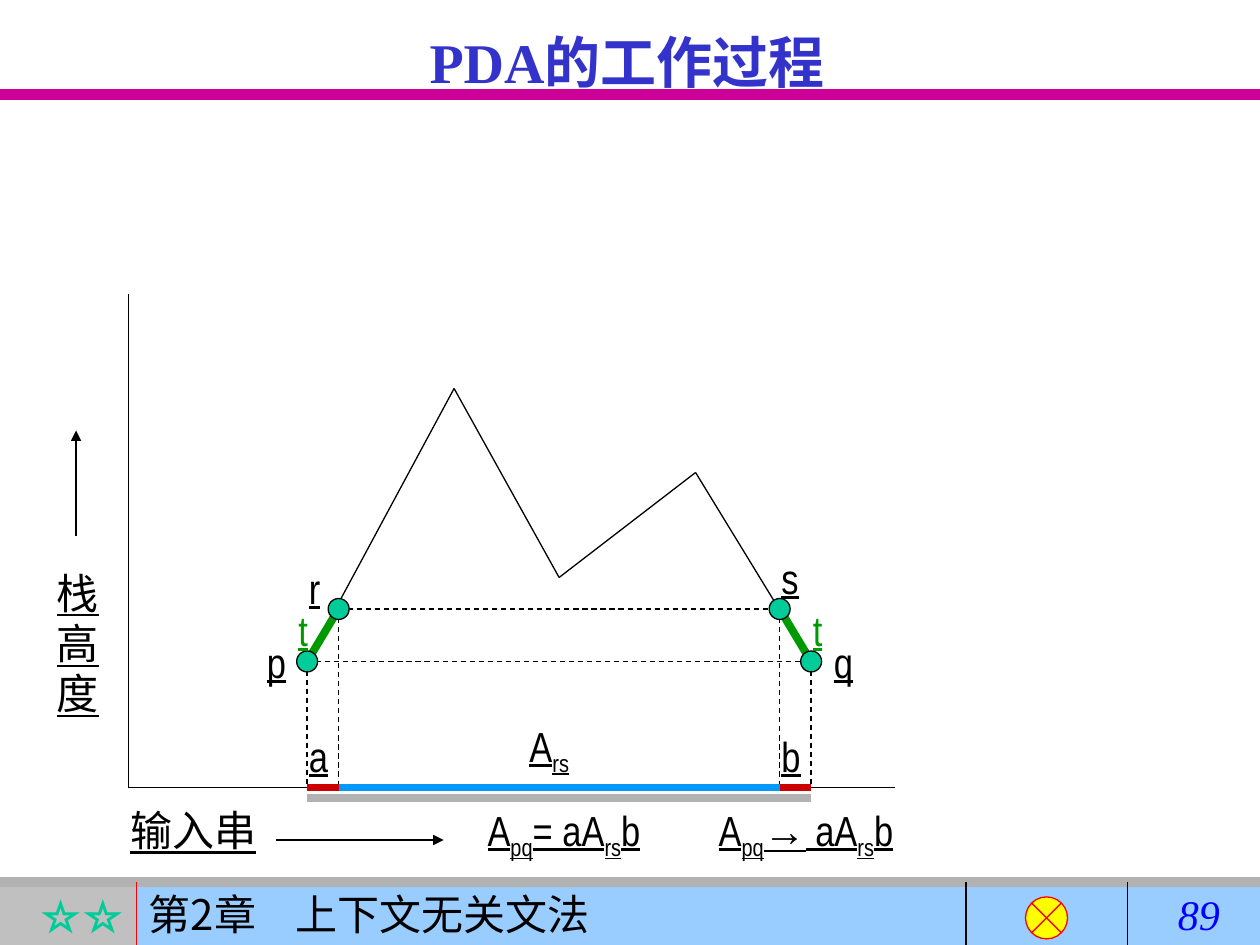
from lxml import etree
from pptx import Presentation
from pptx.dml.color import RGBColor
from pptx.enum.dml import MSO_LINE
from pptx.enum.shapes import MSO_CONNECTOR, MSO_SHAPE
from pptx.enum.text import MSO_ANCHOR, MSO_AUTO_SIZE, PP_ALIGN
from pptx.oxml.ns import qn
from pptx.util import Pt

STRAIGHT = MSO_CONNECTOR.STRAIGHT
RECT, OVAL = MSO_SHAPE.RECTANGLE, MSO_SHAPE.OVAL
JUNCTION = MSO_SHAPE.FLOWCHART_SUMMING_JUNCTION
LEFT, CENTER, RIGHT = PP_ALIGN.LEFT, PP_ALIGN.CENTER, PP_ALIGN.RIGHT
TOP, NO_FIT, DASH = MSO_ANCHOR.TOP, MSO_AUTO_SIZE.NONE, MSO_LINE.DASH

BLACK, GREEN, TEAL, GRAY = "000000", "009900", "00CC99", "B2B2B2"
SERIF, NARROW, CJK = "Times New Roman", "Arial Narrow", "Noto Sans CJK SC"
SUB = {"baseline": -25000}


def color(value):
    return RGBColor.from_string(value)


class Board:
    def __init__(self, slide):
        self.slide = slide
        self.style = {"size": 24, "name": NARROW, "color": BLACK, "underline": True}

    def line(self, x1, y1, x2, y2, ink=BLACK, width=0.75, dash=None, arrow=False):
        link = self.slide.shapes.add_connector(STRAIGHT, Pt(x1), Pt(y1), Pt(x2), Pt(y2))
        link.line.color.rgb = color(ink)
        link.line.width = Pt(width)
        if dash:
            link.line.dash_style = dash
        if arrow:
            outline = link._element.spPr.find(qn("a:ln"))
            etree.SubElement(outline, qn("a:tailEnd"), type="triangle")
        etree.SubElement(link._element.spPr, qn("a:effectLst"))

    def shape(self, kind, x, y, w, h, fill, ink=None):
        figure = self.slide.shapes.add_shape(kind, Pt(x), Pt(y), Pt(w), Pt(h))
        figure.shadow.inherit = False
        figure.fill.solid()
        figure.fill.fore_color.rgb = color(fill)
        if ink:
            figure.line.color.rgb = color(ink)
            figure.line.width = Pt(0.75)
        else:
            figure.line.fill.background()
        return figure

    def fill_text(self, holder, pieces, align=LEFT, tab=None, **changes):
        frame = holder.text_frame
        for key, value in {"word_wrap": True, "auto_size": NO_FIT, "vertical_anchor": TOP}.items():
            setattr(frame, key, value)
        paragraph = frame.paragraphs[0]
        paragraph.alignment = align
        if tab:
            stops = etree.SubElement(paragraph._p.get_or_add_pPr(), qn("a:tabLst"))
            etree.SubElement(stops, qn("a:tab"), pos=str(Pt(tab)), algn="l")
        for words, own in pieces:
            look = {**self.style, **changes, **own}
            run = paragraph.add_run()
            run.text = words
            run.font.size = Pt(look.pop("size"))
            run.font.color.rgb = color(look.pop("color"))
            baseline = look.pop("baseline", None)
            for key, value in look.items():
                setattr(run.font, key, value)
            properties = run._r.get_or_add_rPr()
            if baseline:
                properties.set("baseline", str(baseline))
            etree.SubElement(properties, qn("a:ea"), typeface=CJK)

    def label(self, pieces, x, y, w=30, h=36, **changes):
        box = self.slide.shapes.add_textbox(Pt(x), Pt(y), Pt(w), Pt(h))
        if isinstance(pieces, str):
            pieces = [(pieces, {})]
        self.fill_text(box, pieces, **changes)

    def title(self, words, x, y, w, h, **changes):
        heading = self.slide.shapes.title
        for side, value in {"left": x, "top": y, "width": w, "height": h}.items():
            setattr(heading, side, Pt(value))
        self.fill_text(heading, [(words, {})], **changes)


def draw_frame(board):
    plain = {"underline": False}
    board.line(0, 54, 720, 54, "CC0099", 6)
    stars = board.shape(RECT, 0, 504, 78, 36, "C0C0C0")
    board.fill_text(stars, [("☆☆", {})], RIGHT, name=SERIF, color=TEAL, bold=True, **plain)
    chapter = board.shape(RECT, 78, 504, 642, 36, "99CCFF")
    board.fill_text(chapter, [("第2章\t上下文无关文法", {})], tab=84, name=CJK, **plain)
    board.line(0, 504, 720, 504, GRAY, 6)
    for x, ink in ((78, "FF0000"), (552, BLACK), (644.5, BLACK)):
        board.line(x, 504, x, 540, ink)
    board.shape(JUNCTION, 586, 512.5, 24, 24, "FFFF00", "FF0000")
    board.label("89", 666, 504, 54, name=SERIF, color="0000FF", italic=True, **plain)
    board.title("PDA的工作过程", 34.5, 12, 648, 90, align=CENTER,
                size=32, name=SERIF, color="3333CC", bold=True, **plain)


def draw_chart(board):
    p, r, s, q = 175.5, 193.5, 445.5, 463.5
    upper, lower, base = 348, 378, 450
    origin, radius = 73.5, 6

    board.line(origin, base, 511.5, base)
    board.line(origin, base, origin, 168)
    board.label("输入串", 67.5, 456, 102)
    board.label("栈高度", 25.5, 320.5, 36, 94)
    board.line(157.5, 480, 253.5, 480, arrow=True)
    board.line(43.5, 306, 43.5, 246, arrow=True)

    heights = [(p, lower), (259.5, 222), (319.5, 330), (397.5, 270), (q, lower)]
    for start, end in zip(heights, heights[1:]):
        board.line(*start, *end)

    states = [(r, upper), (p, lower), (s, upper), (q, lower)]
    for x, y in states:
        board.line(x, y, x, base, dash=DASH)
    for start, end, y in ((p, q, lower), (r, s, upper)):
        board.line(start, y, end - radius, y, dash=DASH)
    for inner, outer in ((r, p), (s, q)):
        board.line(inner, upper, outer, lower, GREEN, 4.5)
    for start, end, ink in ((r, s, "0099FF"), (p, r, "CC0000"), (s, q, "CC0000")):
        board.line(start, base, end, base, ink, 4.5)
    board.line(p, base + 6, q, base + 6, GRAY, 4.5)
    for x, y in states:
        board.shape(OVAL, x - radius, y - radius, 2 * radius, 2 * radius, TEAL, BLACK)

    for name, x, y in (("p", 145.5, 360), ("q", 469.5, 360), ("r", 169.5, 318),
                       ("s", 439.5, 312), ("a", 169.5, 414), ("b", 439.5, 414)):
        board.label(name, x, y)
    for x in (163.5, 457.5):
        board.label("t", x, 342, color=GREEN)

    a_rs = [("A", {}), ("rs", SUB)]
    a_pq = [("A", {}), ("pq", SUB)]
    tail = [("rs", SUB), ("b", {})]
    board.label(a_rs, 295.5, 408, 42, 40)
    board.label(a_pq + [("= aA", {})] + tail, 271.5, 456, 132, 40)
    board.label(a_pq + [("→", {"name": "Arial"}), (" aA", {})] + tail, 403.5, 456, 132, 40)


def main():
    deck = Presentation()
    deck.slide_width, deck.slide_height = Pt(720), Pt(540)
    board = Board(deck.slides.add_slide(deck.slide_layouts[5]))
    draw_frame(board)
    draw_chart(board)
    deck.save("out.pptx")


if __name__ == "__main__":
    main()
